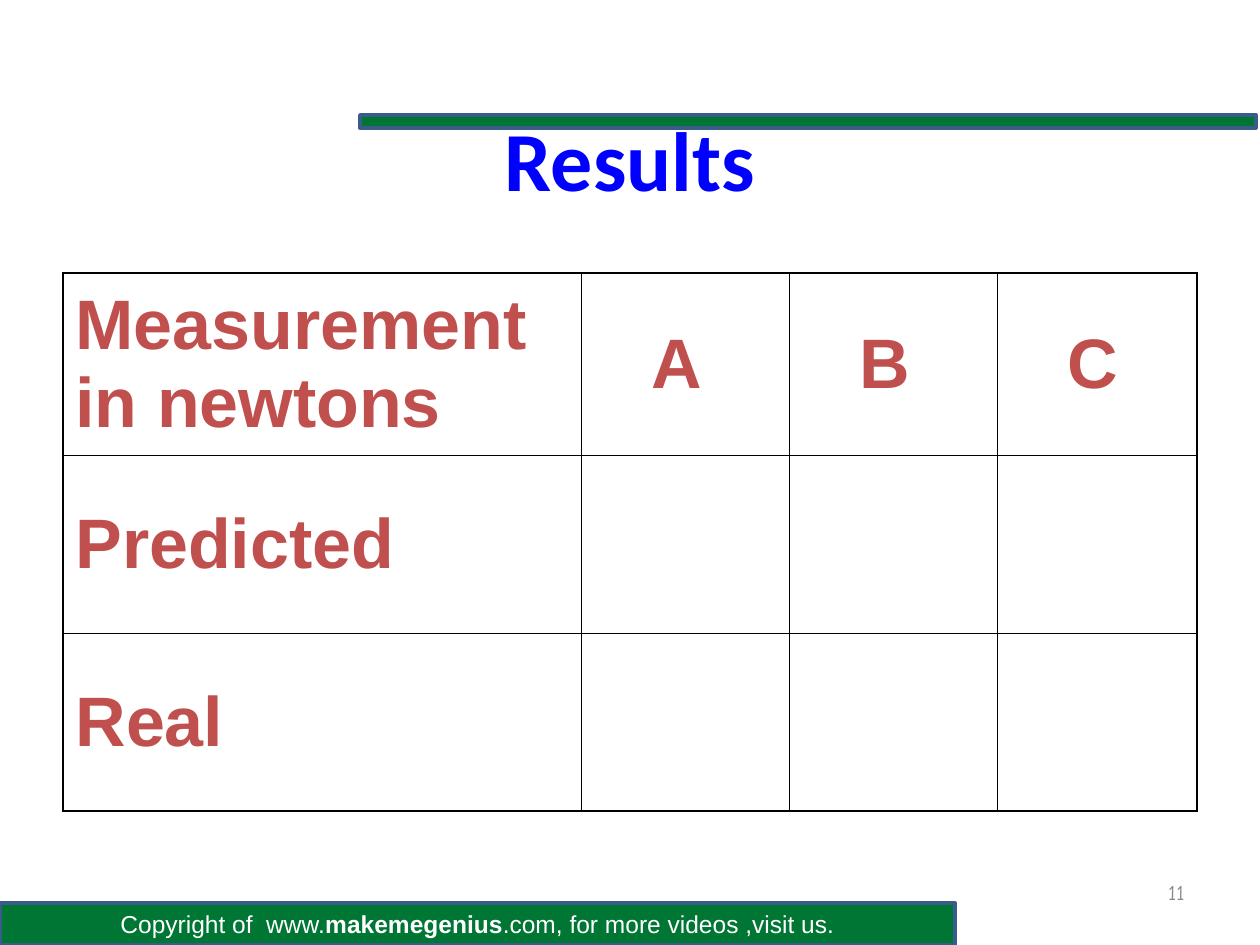
import pptx
import pptx.util
import pptx.dml.color
import pptx.enum.shapes
import pptx.enum.text
import pptx.oxml.ns
import lxml.etree

PX_PER_INCH = 126
COLOURS = {
    "green": "007635",
    "outline": "385D8A",
    "title": "0000FF",
    "heading": "C0504D",
    "number": "898989",
    "border": "000000",
    "white": "FFFFFF",
}
ALIGN = pptx.enum.text.PP_ALIGN
MIDDLE = pptx.enum.text.MSO_ANCHOR.MIDDLE


def px(length):
    return pptx.util.Emu(round(length * 914400 / PX_PER_INCH))


def colour(name):
    return pptx.dml.color.RGBColor.from_string(COLOURS[name])


class SlideBuilder:
    outer_line = 1.08
    inner_line = 0.45

    def __init__(self, page):
        self.page = page

    def style(self, para, size, font, shade, bold=False, align=ALIGN.LEFT):
        para.alignment = align
        para.font.size = pptx.util.Pt(size)
        para.font.name = font
        para.font.bold = bold
        para.font.color.rgb = colour(shade)

    def title(self, text, *place):
        box = self.page.shapes.title
        box.left, box.top, box.width, box.height = map(px, place)
        box.text_frame.text = text
        box.text_frame.vertical_anchor = MIDDLE
        self.style(box.text_frame.paragraphs[0], 48, "Calibri", "title", True, ALIGN.CENTER)

    def bar(self, *place):
        box = self.page.shapes.add_shape(
            pptx.enum.shapes.MSO_SHAPE.RECTANGLE, *map(px, place))
        box.shadow.inherit = False
        box.fill.solid()
        box.fill.fore_color.rgb = colour("green")
        box.line.color.rgb = colour("outline")
        box.line.width = pptx.util.Pt(2)
        return box

    def footer(self, spans, *place):
        frame = self.bar(*place).text_frame
        frame.word_wrap = True
        frame.vertical_anchor = MIDDLE
        para = frame.paragraphs[0]
        self.style(para, 14, "Arial", "white", align=ALIGN.CENTER)
        for text, bold in spans:
            span = para.add_run()
            span.text = text
            span.font.bold = bold

    def page_number(self, text, *place):
        frame = self.page.shapes.add_textbox(*map(px, place)).text_frame
        frame.word_wrap = True
        frame.vertical_anchor = MIDDLE
        frame.text = text
        self.style(frame.paragraphs[0], 12, "Comic Neue", "number", align=ALIGN.RIGHT)

    def cell_borders(self, cell, widths):
        properties = cell._tc.get_or_add_tcPr()
        qn = pptx.oxml.ns.qn
        for side, width in widths.items():
            line = lxml.etree.SubElement(
                properties, qn("a:ln" + side), w=str(pptx.util.Pt(width)))
            fill = lxml.etree.SubElement(line, qn("a:solidFill"))
            lxml.etree.SubElement(fill, qn("a:srgbClr"), val=COLOURS["border"])

    def table(self, rows, left, top, widths, heights, letter_inset):
        table = self.page.shapes.add_table(
            len(heights), len(widths), px(left), px(top),
            px(sum(widths)), px(sum(heights))).table
        table.first_row = table.horz_banding = False
        for column, width in zip(table.columns, widths):
            column.width = px(width)
        for row, height in zip(table.rows, heights):
            row.height = px(height)

        last_row, last_column = len(heights) - 1, len(widths) - 1
        for i, texts in enumerate(rows):
            for j, text in enumerate(texts):
                cell = table.cell(i, j)
                on_edge = {"L": j == 0, "R": j == last_column,
                           "T": i == 0, "B": i == last_row}
                self.cell_borders(cell, {
                    side: self.outer_line if edge else self.inner_line
                    for side, edge in on_edge.items()})
                cell.fill.background()
                cell.vertical_anchor = MIDDLE
                if text:
                    cell.text = text
                    self.style(cell.text_frame.paragraphs[0], 40, "Arial", "heading", True)
                    if j > 0:
                        cell.margin_left = px(letter_inset)


def main():
    deck = pptx.Presentation()
    deck.slide_width, deck.slide_height = px(1260), px(945)
    builder = SlideBuilder(deck.slides.add_slide(deck.slide_layouts[5]))

    # Green bars
    builder.footer(
        [("Copyright of  www.", False), ("makemegenius", True),
         (".com, for more videos ,visit us.", False)],
        0, 903, 955, 42)
    builder.bar(360, 115, 896, 13)

    # Title
    builder.title("Results", 63, 63, 1134, 189)

    # Results table, left blank for the readings
    builder.table(
        [["Measurement in newtons", "A", "B", "C"],
         ["Predicted", "", "", ""],
         ["Real", "", "", ""]],
        63, 273, widths=[518, 208, 208, 200], heights=[182, 178, 178],
        letter_inset=71)

    # Page number
    builder.page_number("11", 904, 861, 293, 63)

    deck.save("out.pptx")


if __name__ == "__main__":
    main()
